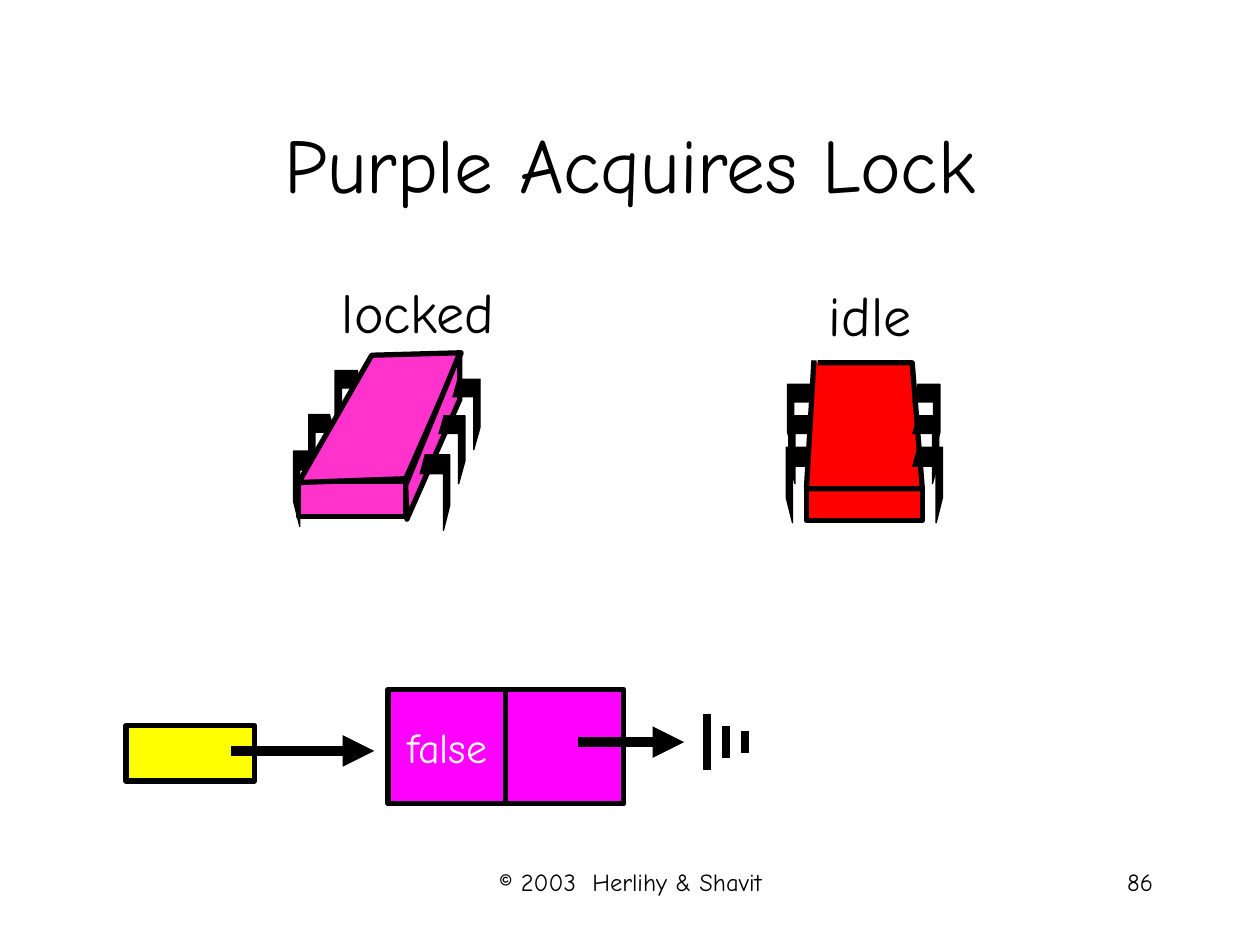
"""Build the slide on which the purple thread acquires the queue lock."""
from lxml import etree
from pptx import Presentation
from pptx import util as u
from pptx.dml.color import RGBColor
from pptx.enum import shapes, text
from pptx.oxml import ns

PX = u.Inches(1) // 100
FONT = "Comic Neue"
BLACK = RGBColor(0x00, 0x00, 0x00)
WHITE = RGBColor(0xFF, 0xFF, 0xFF)
MAGENTA = RGBColor(0xFF, 0x00, 0xFF)
PINK = RGBColor(0xFF, 0x33, 0xCC)
RED = RGBColor(0xFF, 0x00, 0x00)
YELLOW = RGBColor(0xFF, 0xFF, 0x00)
CENTER = text.PP_ALIGN.CENTER
RIGHT = text.PP_ALIGN.RIGHT


def paint(shape, fill, line_width):
    shape.shadow.inherit = False
    shape.fill.solid()
    shape.fill.fore_color.rgb = fill
    shape.line.color.rgb = BLACK
    shape.line.width = u.Pt(line_width)


def write(shape, wording, size, color=BLACK, align=CENTER, wrap=True):
    frame = shape.text_frame
    frame.word_wrap = wrap
    frame.text = wording
    paragraph = frame.paragraphs[0]
    paragraph.alignment = align
    paragraph.font.name = FONT
    paragraph.font.size = u.Pt(size)
    paragraph.font.color.rgb = color


presentation = Presentation()
presentation.slide_width = 1000 * PX
presentation.slide_height = 750 * PX
slide = presentation.slides.add_slide(presentation.slide_layouts[5])

title = slide.shapes.title
title.left, title.top, title.width, title.height = 75 * PX, 67 * PX, 850 * PX, 125 * PX
title.text_frame.vertical_anchor = text.MSO_ANCHOR.MIDDLE
write(title, "Purple Acquires Lock", 44)

LEG_SIZES = [(24, 60), (21, 54), (22, 56)]
robots = [
    {
        "color": PINK,
        "front": (237, 382, 85, 28),
        "panels": [
            ([(237, 383), (322, 380), (366, 280), (295, 282)], True),
            ([(365, 280), (365, 317), (323, 412), (322, 385)], True),
        ],
        "left_legs": [(233, 358), (245, 329), (266, 294)],
        "right_legs": [(333, 361), (348, 330), (359, 301)],
        "label": ("locked", 261, 215, 142),
    },
    {
        "color": RED,
        "front": (640, 388, 92, 25),
        "panels": [([(649, 288), (724, 288), (732, 388), (640, 388), (646, 286)], False)],
        "left_legs": [(624, 355), (626, 330), (625, 305)],
        "right_legs": [(724, 355), (724, 330), (724, 305)],
        "label": ("idle", 643, 218, 95),
    },
]
for robot in robots:
    group = slide.shapes.add_group_shape()
    front = group.shapes.add_shape(
        shapes.MSO_SHAPE.RECTANGLE, *(length * PX for length in robot["front"]))
    paint(front, robot["color"], 3)

    legs = {}
    for side in ("left_legs", "right_legs"):
        legs[side] = []
        for (left, top), (width, height) in zip(robot[side], LEG_SIZES):
            knee, thigh = round(height * 0.67), round(height * 0.25)
            points = [(4, 0), (width, 0), (width, knee),
                      (width - 5, height), (width - 5, thigh), (0, thigh)]
            if side == "left_legs":
                points = [(width - x, y) for x, y in points]
            outline = [(left + x, top + y) for x, y in points]
            legs[side].append((outline, False, BLACK, 0.75))
    panels = [(*panel, robot["color"], 3) for panel in robot["panels"]]

    for outline, closed, fill, line_width in legs["left_legs"] + panels + legs["right_legs"]:
        builder = group.shapes.build_freeform(*outline[0], scale=PX)
        builder.add_line_segments(outline[1:], close=closed)
        paint(builder.convert_to_shape(), fill, line_width)

    wording, left, top, width = robot["label"]
    label = group.shapes.add_textbox(left * PX, top * PX, width * PX, 64 * PX)
    write(label, wording, 32, wrap=False)
    label.text_frame.auto_size = text.MSO_AUTO_SIZE.SHAPE_TO_FIT_TEXT

for wording, left, top, width, height, fill in [
    ("false", 308, 547, 94, 91, MAGENTA),
    ("", 401, 547, 94, 91, MAGENTA),
    ("", 100, 576, 102, 44, YELLOW),
]:
    cell = slide.shapes.add_shape(
        shapes.MSO_SHAPE.RECTANGLE, left * PX, top * PX, width * PX, height * PX)
    paint(cell, fill, 3)
    if wording:
        cell.text_frame.vertical_anchor = text.MSO_ANCHOR.MIDDLE
        write(cell, wording, 24, WHITE, wrap=False)

null_symbol = slide.shapes.add_group_shape()
for container, x1, y1, x2, y2, line_width, arrow in [
    (slide, 459, 589, 543, 589, 6, True),
    (slide, 183, 596, 297, 596, 6, True),
    (null_symbol, 561, 567, 561, 611, 4.5, False),
    (null_symbol, 576, 576, 576, 602, 4.5, False),
    (null_symbol, 591, 580, 591, 598, 4.5, False),
]:
    connector = container.shapes.add_connector(
        shapes.MSO_CONNECTOR.STRAIGHT, x1 * PX, y1 * PX, x2 * PX, y2 * PX)
    connector.line.color.rgb = BLACK
    connector.line.width = u.Pt(line_width)
    properties = connector.line._get_or_add_ln()
    if arrow:
        etree.SubElement(properties, ns.qn("a:tailEnd"), type="triangle")
    etree.SubElement(properties.getparent(), ns.qn("a:effectLst"))

for wording, left, width, align in [
    ("© 2003  Herlihy & Shavit", 342, 317, CENTER),
    ("86", 717, 208, RIGHT),
]:
    footer = slide.shapes.add_textbox(left * PX, 683 * PX, width * PX, 50 * PX)
    write(footer, wording, 14, align=align)

presentation.save("out.pptx")
